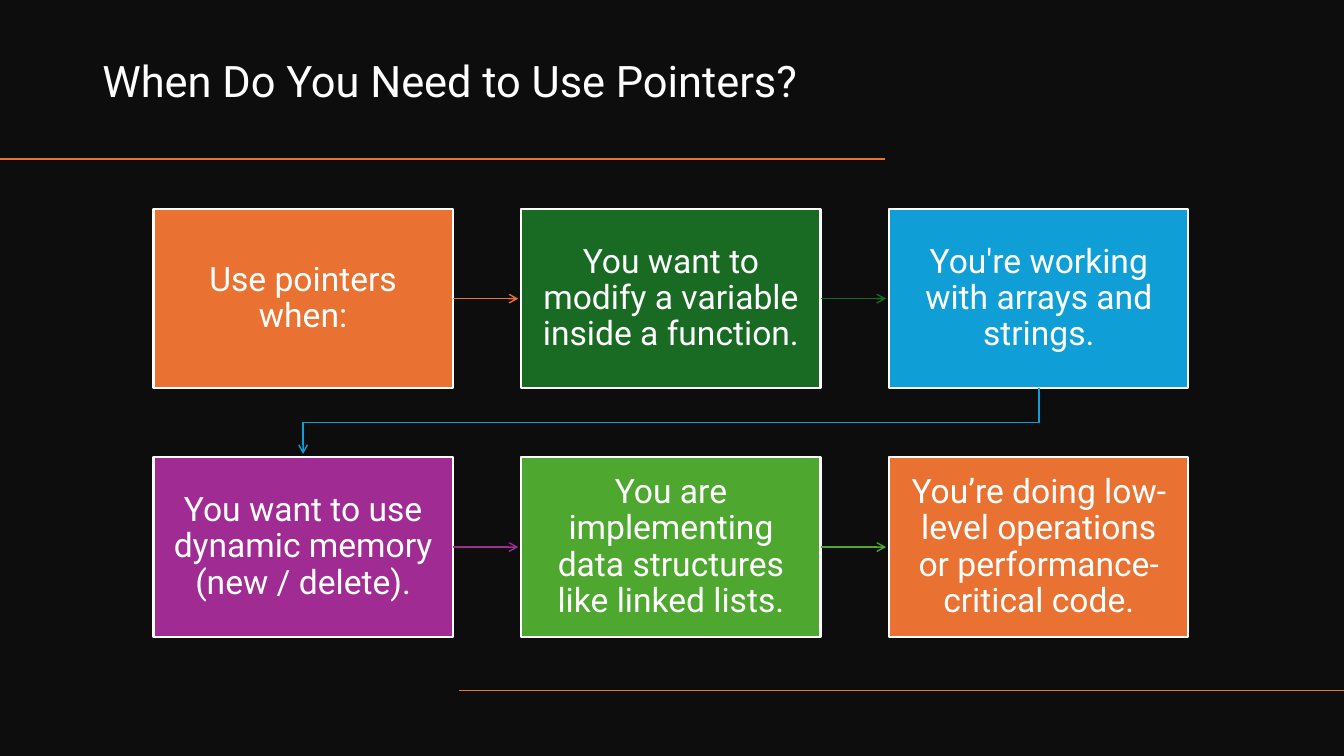
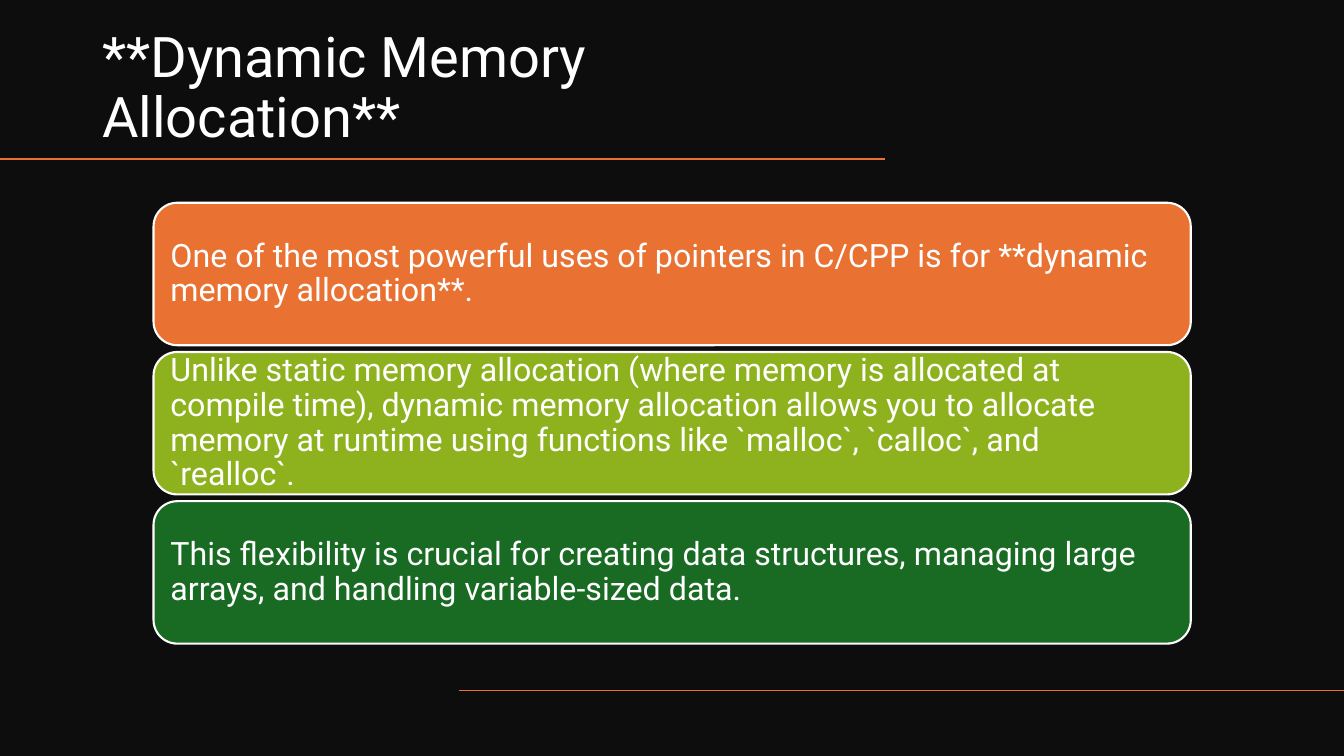
"""Build two dark slides on pointers and dynamic memory."""
from dataclasses import dataclass

from lxml.etree import SubElement
from pptx import Presentation
from pptx.dml.color import RGBColor
from pptx.enum.shapes import MSO_CONNECTOR, MSO_SHAPE
from pptx.enum.text import MSO_ANCHOR, PP_ALIGN
from pptx.oxml.ns import qn
from pptx.util import Cm, Pt


@dataclass(frozen=True)
class Theme:
    font: str = "Roboto"
    dark: str = "0D0D0D"
    white: str = "FFFFFF"
    orange: str = "E97132"
    green: str = "196B24"
    blue: str = "0F9ED5"
    purple: str = "A02B93"
    leaf: str = "4EA72E"
    lime: str = "8EB21E"
    head: int = 40
    small: int = 31
    step: int = 24
    body: int = 23
    edge: float = 1.5
    rule: float = 1


T = Theme()

STEPS = [
    ("Use pointers when:", T.orange),
    ("You want to modify a variable inside a function.", T.green),
    ("You're working with arrays and strings.", T.blue),
    ("You want to use dynamic memory (new / delete).", T.purple),
    ("You are implementing data structures like linked lists.", T.leaf),
    ("You’re doing low-level operations or performance-critical code.", T.orange),
]
FACTS = [
    ("One of the most powerful uses of pointers in C/CPP is for "
     "**dynamic memory allocation**.", T.orange),
    ("Unlike static memory allocation (where memory is allocated at compile "
     "time), dynamic memory allocation allows you to allocate memory at "
     "runtime using functions like `malloc`, `calloc`, and `realloc`.", T.lime),
    ("This flexibility is crucial for creating data structures, managing "
     "large arrays, and handling variable-sized data.", T.green),
]

WIDE, TALL = 33.87, 19.05
LEFT = 3.87
RULES = [(0, 22.3, 4.01), (11.57, WIDE, 17.4)]
COLS = 3
CARD = dict(top=5.26, w=7.54, h=4.53, dx=9.27, dy=6.26)
PILL = dict(top=5.11, w=26.14, h=3.59, dy=3.76)
REACH = 1.65


def tint(name):
    return RGBColor.from_string(name)


def write(shape, text, size, align=PP_ALIGN.LEFT, anchor=MSO_ANCHOR.MIDDLE,
          pad=(0.25, 0.13, 0.25, 0.13)):
    frame = shape.text_frame
    frame.word_wrap = True
    frame.vertical_anchor = anchor
    (frame.margin_left, frame.margin_top,
     frame.margin_right, frame.margin_bottom) = map(Cm, pad)
    para = frame.paragraphs[0]
    para.alignment = align
    para.line_spacing = 0.9
    run = para.add_run()
    run.text = text
    run.font.name = T.font
    run.font.size = Pt(size)
    run.font.color.rgb = tint(T.white)


def stroke(shape, color, arrow=False):
    shape.line.color.rgb = tint(color)
    shape.line.width = Pt(T.rule)
    props = shape.element.spPr
    if arrow:
        SubElement(props.get_or_add_ln(), qn("a:tailEnd"), type="arrow")
    SubElement(props, qn("a:effectLst"))


def link(slide, start, end, color, arrow=False):
    line = slide.shapes.add_connector(
        MSO_CONNECTOR.STRAIGHT, *map(Cm, (*start, *end)))
    stroke(line, color, arrow)


def bend(slide, points, color):
    spots = [(Cm(x), Cm(y)) for x, y in points]
    form = slide.shapes.build_freeform(*spots[0])
    form.add_line_segments(spots[1:], close=False)
    line = form.convert_to_shape()
    line.fill.background()
    stroke(line, color, arrow=True)


def box(slide, kind, place, color):
    shape = slide.shapes.add_shape(kind, *map(Cm, place))
    shape.shadow.inherit = False
    shape.fill.solid()
    shape.fill.fore_color.rgb = tint(color)
    shape.line.color.rgb = tint(T.white)
    shape.line.width = Pt(T.edge)
    return shape


def start(deck, title, size, foot=0.13):
    slide = deck.slides.add_slide(deck.slide_layouts[6])
    fill = slide.background.fill
    fill.solid()
    fill.fore_color.rgb = tint(T.dark)
    head = slide.shapes.add_textbox(*map(Cm, (2.33, 1.07, 19.96, 2.84)))
    write(head, title, size, anchor=MSO_ANCHOR.BOTTOM,
          pad=(0.25, 0.13, 0.25, foot))
    for x, end, y in RULES:
        link(slide, (end, y), (x, y), T.orange)
    return slide


def flow(slide):
    w, h = CARD["w"], CARD["h"]
    for i, (text, color) in enumerate(STEPS):
        row, col = divmod(i, COLS)
        x, y = LEFT + col * CARD["dx"], CARD["top"] + row * CARD["dy"]
        card = box(slide, MSO_SHAPE.RECTANGLE, (x, y, w, h), color)
        write(card, text, T.step, align=PP_ALIGN.CENTER, pad=(0.37,) * 4)
        if i == len(STEPS) - 1:
            continue
        if col < COLS - 1:
            mid = y + h / 2
            link(slide, (x + w, mid), (x + w + REACH, mid), color, arrow=True)
        else:
            right, home, low = x + w / 2, LEFT + w / 2, y + h
            turn = low + (CARD["dy"] - h) / 2
            bend(slide, [(right, low), (right, turn), (home, turn),
                         (home, low + REACH)], color)


def stack(slide):
    for i, (text, color) in enumerate(FACTS):
        place = (LEFT, PILL["top"] + i * PILL["dy"], PILL["w"], PILL["h"])
        pill = box(slide, MSO_SHAPE.ROUNDED_RECTANGLE, place, color)
        write(pill, text, T.body, pad=(0.25,) * 4)


def main():
    deck = Presentation()
    deck.slide_width, deck.slide_height = Cm(WIDE), Cm(TALL)
    flow(start(deck, "When Do You Need to Use Pointers?", T.small, foot=1.4))
    stack(start(deck, "**Dynamic Memory Allocation**", T.head))
    deck.save("out.pptx")


if __name__ == "__main__":
    main()
